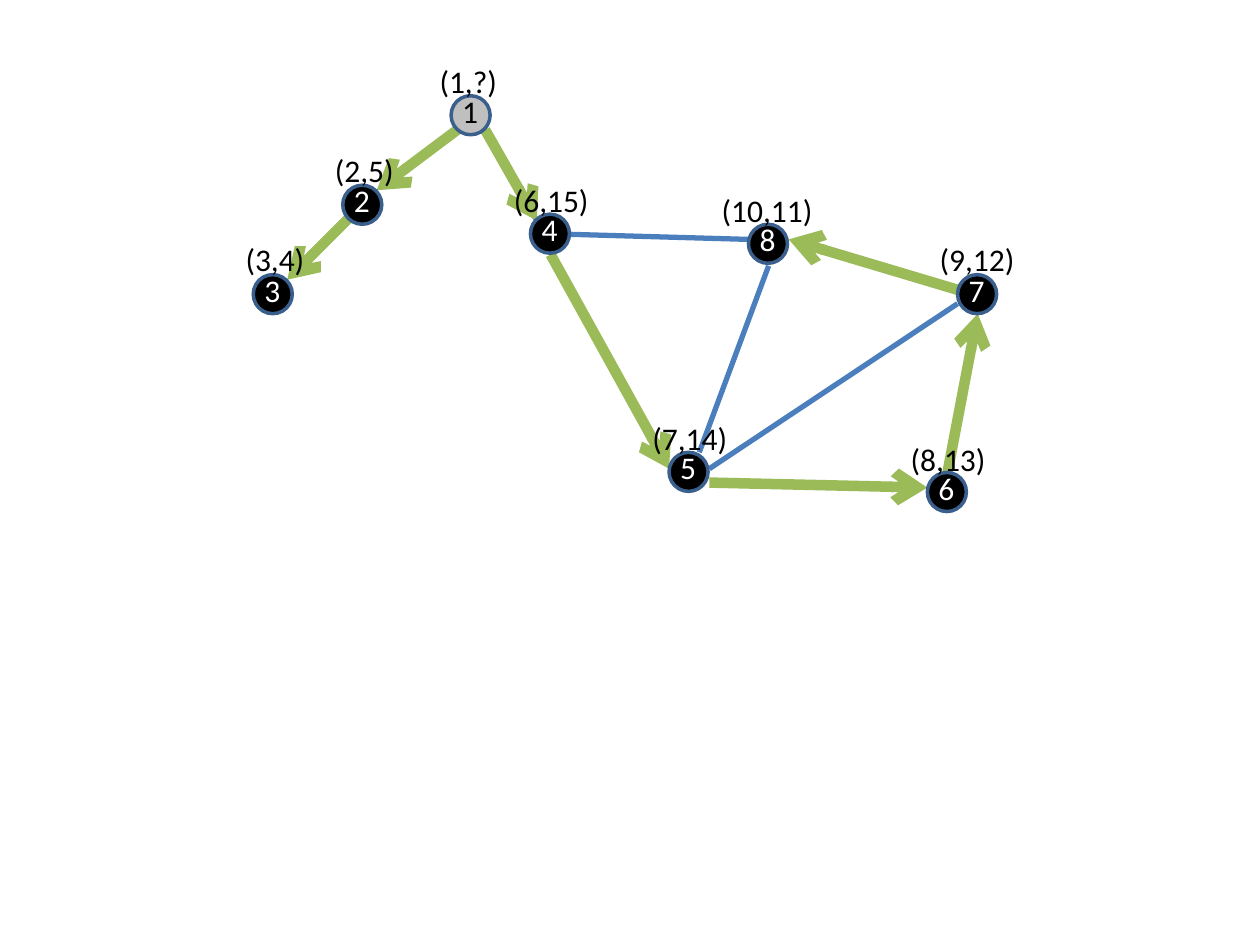
from pptx import Presentation, util as u
from pptx.dml.color import RGBColor
from pptx.enum import shapes, text
from pptx.oxml.ns import qn
from lxml import etree

COLORS = {"edge": "4B7EBC", "tree": "9BBB59", "outline": "3A5F8C",
          "black": "000000", "white": "FFFFFF", "gray": "BFBFBF"}
NODE_SIZE = 0.31

# Start and end of each plain edge
EDGES = [
    ((3.85, 1.03), (4.26, 1.75)),
    ((4.53, 1.86), (5.94, 1.9)),
    ((6.1, 2.11), (5.55, 3.59)),
    ((7.6, 2.41), (5.63, 3.72)),
]
# Start and end of each tree edge, and the end that carries the arrowhead
TREE_EDGES = [
    ((3.63, 1.03), (2.99, 1.51), "tailEnd"),
    ((2.76, 1.74), (2.28, 2.22), "tailEnd"),
    ((3.85, 1.03), (4.26, 1.75), "tailEnd"),
    ((6.26, 1.9), (7.6, 2.3), "headEnd"),
    ((7.76, 2.49), (7.52, 3.75), "headEnd"),
    ((4.37, 2.02), (5.31, 3.72), "tailEnd"),
    ((5.63, 3.83), (7.36, 3.87), "tailEnd"),
]
# Number, node left and top, visit times, label left, top and width
NODES = [
    ("7", 7.6, 2.18, "(9,12)", 7.36, 1.86, 0.8),
    ("2", 2.72, 1.47, "(2,5)", 2.56, 1.15, 0.68),
    ("8", 5.94, 1.78, "(10,11)", 5.63, 1.47, 0.93),
    ("3", 2.01, 2.18, "(3,4)", 1.85, 1.86, 0.68),
    ("6", 7.36, 3.75, "(8,13)", 7.13, 3.44, 0.8),
    ("5", 5.31, 3.59, "(7,14)", 5.08, 3.28, 0.8),
    ("1", 3.58, 0.76, "(1,?)", 3.39, 0.44, 0.66),
    ("4", 4.21, 1.7, "(6,15)", 3.98, 1.39, 0.8),
]


def rgb(name):
    """Return the named colour."""
    return RGBColor.from_string(COLORS[name])


class GraphSlide:
    """Draws graph elements on one slide in a shared style."""

    font = "Calibri"
    size = 18

    def __init__(self, slide):
        """Keep the slide to draw on."""
        self.slide = slide

    def edge(self, start, end, color, width, arrow_end=None):
        """Draw a straight edge, with an arrowhead at the given end."""
        points = [u.Inches(value) for value in (*start, *end)]
        connector = self.slide.shapes.add_connector(
            shapes.MSO_CONNECTOR.STRAIGHT, *points)
        connector.line.color.rgb = rgb(color)
        connector.line.width = u.Pt(width)
        if arrow_end:
            line = connector.line._get_or_add_ln()
            etree.SubElement(line, qn("a:" + arrow_end), type="arrow")
        etree.SubElement(connector._element.spPr, qn("a:effectLst"))

    def label(self, content, left, top, width, color="black"):
        """Add a one-line text box."""
        box = self.slide.shapes.add_textbox(
            u.Inches(left), u.Inches(top), u.Inches(width), u.Inches(0.4))
        frame = box.text_frame
        frame.word_wrap = False
        frame.auto_size = text.MSO_AUTO_SIZE.SHAPE_TO_FIT_TEXT
        run = frame.paragraphs[0].add_run()
        run.text = content
        run.font.name = self.font
        run.font.size = u.Pt(self.size)
        run.font.color.rgb = rgb(color)

    def node(self, number, left, top, fill, color):
        """Draw a numbered round node."""
        shape = self.slide.shapes.add_shape(
            shapes.MSO_SHAPE.OVAL, u.Inches(left), u.Inches(top),
            u.Inches(NODE_SIZE), u.Inches(NODE_SIZE))
        shape.shadow.inherit = False
        shape.fill.solid()
        shape.fill.fore_color.rgb = rgb(fill)
        shape.line.color.rgb = rgb("outline")
        shape.line.width = u.Pt(2)
        self.label(number, left - 0.01, top - 0.08, 0.33, color)


def main():
    """Build and save the presentation."""
    presentation = Presentation()
    presentation.slide_width = u.Inches(10)
    presentation.slide_height = u.Inches(7.5)
    graph = GraphSlide(
        presentation.slides.add_slide(presentation.slide_layouts[6]))
    for start, end in EDGES:
        graph.edge(start, end, "edge", 3)
    for start, end, arrow_end in TREE_EDGES:
        graph.edge(start, end, "tree", 6, arrow_end)
    for number, left, top, times, *label_place in NODES:
        is_open = "?" in times
        fill, color = ("gray", "black") if is_open else ("black", "white")
        graph.node(number, left, top, fill, color)
        graph.label(times, *label_place)
    presentation.save("out.pptx")


main()
